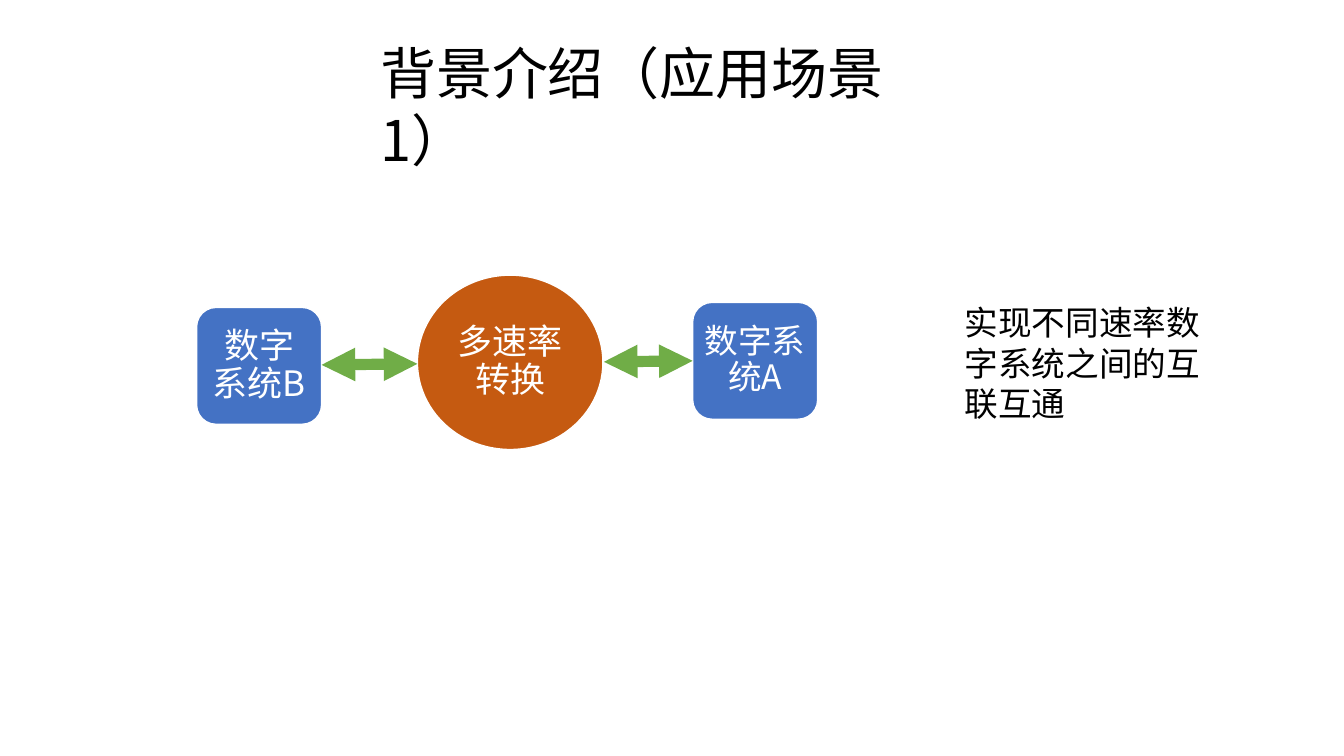
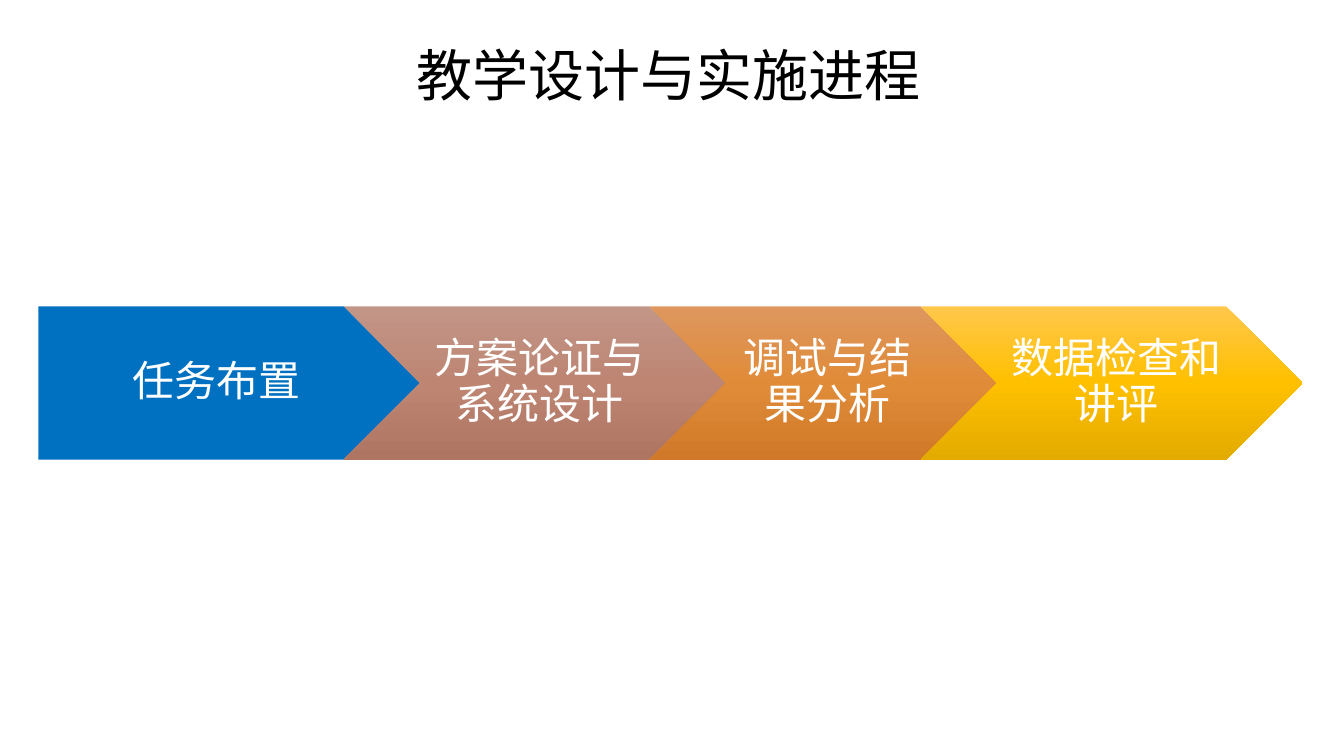
import pptx
import pptx.dml.color
import pptx.enum.shapes
import pptx.enum.text
import pptx.oxml.ns
import pptx.util
from lxml import etree

Inches = pptx.util.Inches
Pt = pptx.util.Pt
RGBColor = pptx.dml.color.RGBColor
SHAPE = pptx.enum.shapes.MSO_SHAPE
ALIGN = pptx.enum.text.PP_ALIGN
ANCHOR = pptx.enum.text.MSO_ANCHOR
qn = pptx.oxml.ns.qn

BLACK = RGBColor(0x00, 0x00, 0x00)
WHITE = RGBColor(0xFF, 0xFF, 0xFF)
BLUE = RGBColor(0x44, 0x72, 0xC4)
RUST = RGBColor(0xC5, 0x5A, 0x11)
GREEN = RGBColor(0x70, 0xAD, 0x47)
STEP_BLUE = RGBColor(0x00, 0x70, 0xC0)
BROWNS = (RGBColor(0xC2, 0x96, 0x87), RGBColor(0xBE, 0x85, 0x73), RGBColor(0xAD, 0x75, 0x62))
ORANGES = (RGBColor(0xDE, 0x97, 0x5E), RGBColor(0xE0, 0x8B, 0x38), RGBColor(0xD0, 0x7A, 0x29))
GOLDS = (RGBColor(0xFF, 0xC7, 0x4B), RGBColor(0xFF, 0xC0, 0x00), RGBColor(0xE3, 0xAB, 0x00))
CJK_FONT = "Noto Sans CJK SC"
NOTE_FONT = "Arial"


def write_text(shape, text, size, color, font=CJK_FONT, align=ALIGN.LEFT,
               anchor=ANCHOR.TOP, spacing=1.0, insets=(0.1, 0.05, 0.1, 0.05)):
    """Fill a shape with one formatted run."""
    frame = shape.text_frame
    frame.word_wrap = True
    frame.auto_size = pptx.enum.text.MSO_AUTO_SIZE.NONE
    frame.vertical_anchor = anchor
    frame.margin_left, frame.margin_top, frame.margin_right, frame.margin_bottom = map(Inches, insets)
    paragraph = frame.paragraphs[0]
    paragraph.alignment = align
    paragraph.line_spacing = spacing
    run = paragraph.add_run()
    run.text = text
    run.font.size = Pt(size)
    run.font.name = font
    run.font.color.rgb = color
    east_asian = etree.Element(qn("a:ea"), typeface=CJK_FONT)
    run.font._element.find(qn("a:latin")).addnext(east_asian)


def add_titled_slide(presentation, title, left, top):
    """Add a title-only slide with its title placed."""
    slide = presentation.slides.add_slide(presentation.slide_layouts[5])
    shape = slide.shapes.title
    shape.left, shape.top = Inches(left), Inches(top)
    shape.width, shape.height = Inches(5.4), Inches(0.77)
    write_text(shape, title, 40, BLACK)
    return slide


def add_label_shape(slide, kind, box, text, size, insets):
    """Add a preset shape with centred white text."""
    shape = slide.shapes.add_shape(kind, *map(Inches, box))
    shape.shadow.inherit = False
    write_text(shape, text, size, WHITE, align=ALIGN.CENTER,
               anchor=ANCHOR.MIDDLE, spacing=0.9, insets=insets)
    return shape


def add_node(slide, kind, box, text, size, color, inset):
    """Add a solid diagram node with a thin white edge."""
    shape = add_label_shape(slide, kind, box, text, size, (inset,) * 4)
    shape.fill.solid()
    shape.fill.fore_color.rgb = color
    shape.line.color.rgb = WHITE
    shape.line.width = Pt(1)


def add_double_arrow(slide, start_x, start_y, end_x, end_y):
    """Add a thick line with an arrowhead at each end."""
    connector = slide.shapes.add_connector(
        pptx.enum.shapes.MSO_CONNECTOR.STRAIGHT,
        *map(Inches, (start_x, start_y, end_x, end_y)))
    connector.line.color.rgb = GREEN
    connector.line.width = Pt(8)
    line = connector.line._get_or_add_ln()
    for end in ("a:headEnd", "a:tailEnd"):
        etree.SubElement(line, qn(end), type="triangle")
    etree.SubElement(connector._element.spPr, qn("a:effectLst"))


def add_rate_diagram(slide, left, top):
    """Draw two digital systems linked through the rate converter."""
    node_width, node_height = 1.24, 1.16
    add_node(slide, SHAPE.OVAL, (left + 2.19, top, 1.84, 1.73), "多速率转换", 25, RUST, 0.05)
    add_node(slide, SHAPE.ROUNDED_RECTANGLE, (left + 4.92, top + 0.27, node_width, node_height),
             "数字系统A", 24, BLUE, 0.06)
    add_node(slide, SHAPE.ROUNDED_RECTANGLE, (left, top + 0.32, node_width, node_height),
             "数字系统B", 25, BLUE, 0.08)
    add_double_arrow(slide, left + 4.04, top + 0.86, left + 4.92, top + 0.85)
    add_double_arrow(slide, left + 1.24, top + 0.89, left + 2.19, top + 0.88)


def add_note(slide, left, top, width, height):
    """Add the explanatory text beside the diagram."""
    box = slide.shapes.add_textbox(*map(Inches, (left, top, width, height)))
    write_text(box, "实现不同速率数字系统之间的互联互通", 24, BLACK, font=NOTE_FONT)


def fill_gradient(shape, colors):
    """Apply a three-stop gradient running from top to bottom."""
    shape.fill.gradient()
    shape.fill.gradient_angle = 270
    stops = shape.fill._fill._gradFill.find(qn("a:gsLst"))
    for stop in list(stops):
        stops.remove(stop)
    for position, color in zip((0, 50000, 100000), colors):
        stop = etree.SubElement(stops, qn("a:gs"), pos=str(position))
        etree.SubElement(stop, qn("a:srgbClr"), val=str(color))


def add_process(slide, left, top, height):
    """Draw the chain of steps, each tucked into the one before."""
    steps = (
        ("任务布置", 3.79, None),
        ("方案论证与系统设计", 3.79, BROWNS),
        ("调试与结果分析", 3.45, ORANGES),
        ("数据检查和讲评", 3.79, GOLDS),
    )
    for text, width, colors in steps:
        kind = SHAPE.CHEVRON if colors else SHAPE.PENTAGON
        insets = (0.13 if colors else 0.17, 0.09, 0.04, 0.09)
        shape = add_label_shape(slide, kind, (left, top, width, height), text, 30, insets)
        shape.line.fill.background()
        if colors:
            fill_gradient(shape, colors)
        else:
            shape.fill.solid()
            shape.fill.fore_color.rgb = STEP_BLUE
        left += width - height / 2


def main():
    """Build and save the presentation."""
    presentation = pptx.Presentation()
    presentation.slide_width = Inches(13.33)
    presentation.slide_height = Inches(7.5)
    scenario = add_titled_slide(presentation, "背景介绍（应用场景1）", 3.67, 0.33)
    add_rate_diagram(scenario, 1.95, 2.73)
    add_note(scenario, 9.47, 2.95, 2.59, 1.31)
    schedule = add_titled_slide(presentation, "教学设计与实施进程", 4.03, 0.35)
    add_process(schedule, 0.38, 3.04, 1.52)
    presentation.save("out.pptx")


if __name__ == "__main__":
    main()
